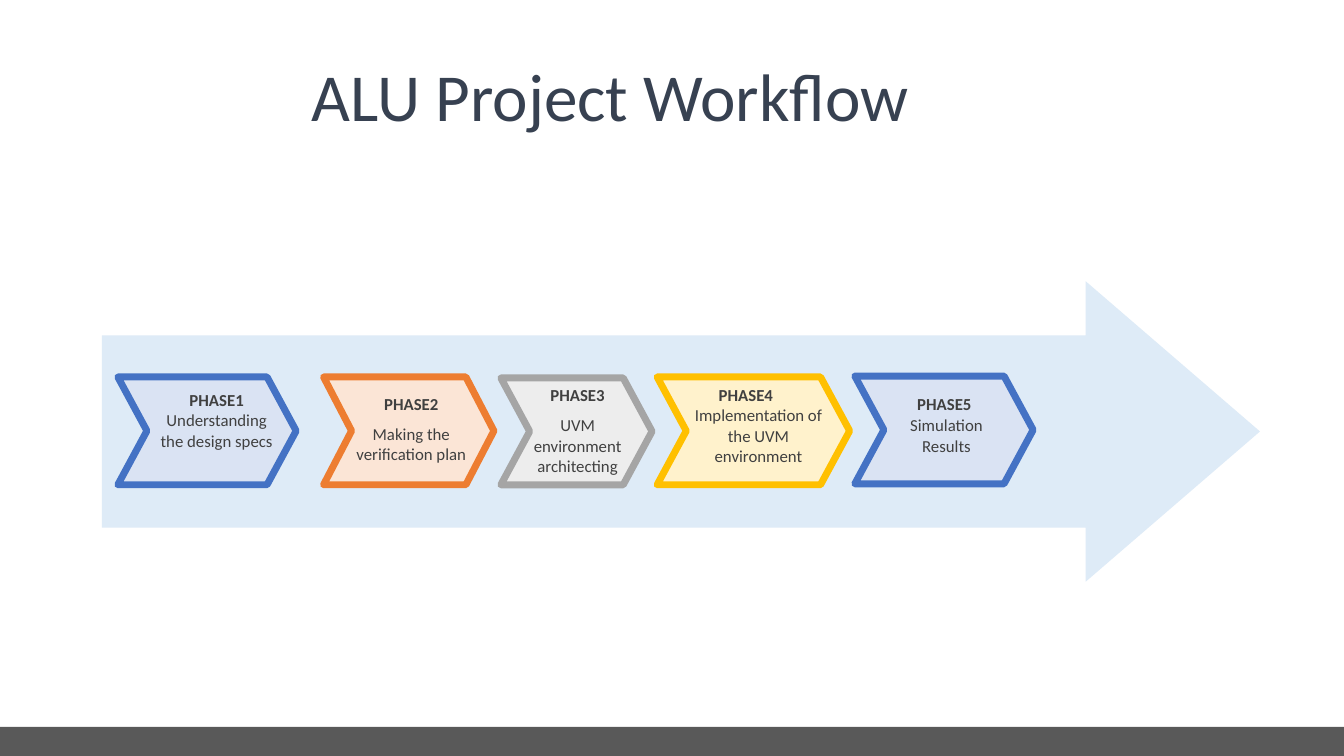
"""Build the ALU project workflow slide."""
import pptx
import pptx.dml.color
import pptx.enum.shapes
import pptx.enum.text
import pptx.util

Pt = pptx.util.Pt
SHAPES = pptx.enum.shapes.MSO_SHAPE
ANCHOR = pptx.enum.text.MSO_ANCHOR
AUTO_SIZE = pptx.enum.text.MSO_AUTO_SIZE
CENTER = pptx.enum.text.PP_ALIGN.CENTER

COLORS = {
    "title": "374151", "text": "404040", "footer": "595959", "arrow": "DEEBF7",
    "blue": "4472C4", "pale blue": "DAE3F3",
    "orange": "ED7D31", "pale orange": "FBE5D6",
    "gray": "A5A5A5", "pale gray": "EDEDED",
    "gold": "FFC000", "pale gold": "FFF2CC",
}

PHASES = [
    {"color": "blue", "chevron": (84.2, 269.3, 127.4, 77), "point": 0.27,
     "head": (104.4, 275), "body": (104.4, 289.4, 100.8, 51.1),
     "text": "Understanding the design specs"},
    {"color": "orange", "chevron": (231.1, 269.3, 121.7, 77), "point": 0.26,
     "head": (243.4, 277.9), "body": (243.4, 298.8, 100.8, 36.3),
     "text": "Making the verification plan"},
    {"color": "gray", "chevron": (357.8, 270, 108, 76.3), "point": 0.27,
     "head": (362.2, 271.4), "body": (362.2, 293, 100.8, 51.1),
     "text": "UVM environment architecting"},
    {"color": "gold", "chevron": (469.4, 269.3, 137.5, 77), "point": 0.27,
     "head": (482.4, 271.4), "body": (486.7, 285.8, 110.2, 51.1),
     "text": "Implementation of the UVM environment"},
    {"color": "blue", "chevron": (610.6, 268.6, 127.4, 77), "point": 0.27,
     "head": (624.2, 277.9), "body": (625.7, 293, 100.8, 36.3),
     "text": "Simulation Results"},
]
HEAD_SIZE = (100.8, 21.8)


class WorkflowPage:
    """Hold the text style and the current slide."""

    font = "Calibri"

    def __init__(self, deck):
        """Add a title-only slide to the deck."""
        self.page = deck.slides.add_slide(deck.slide_layouts[5])

    def color(self, name):
        """Return the named colour."""
        return pptx.dml.color.RGBColor.from_string(COLORS[name])

    def fill_text(self, frame, text, size, color, bold=False):
        """Fill a text frame with one centred paragraph."""
        frame.text = text
        frame.word_wrap = True
        para = frame.paragraphs[0]
        para.alignment = CENTER
        font = para.runs[0].font
        font.name, font.size, font.bold = self.font, Pt(size), bold
        font.color.rgb = self.color(color)

    def title(self, text, frame):
        """Place and format the title placeholder."""
        box = self.page.shapes.title
        box.left, box.top, box.width, box.height = map(Pt, frame)
        self.fill_text(box.text_frame, text, 48, "title")
        box.text_frame.vertical_anchor = ANCHOR.MIDDLE
        box.text_frame.auto_size = AUTO_SIZE.NONE
        box.text_frame.paragraphs[0].line_spacing = 0.9

    def shape(self, kind, frame, fill, line=None, adjustments=()):
        """Add a filled preset shape with an optional outline."""
        box = self.page.shapes.add_shape(kind, *map(Pt, frame))
        box.shadow.inherit = False
        for index, value in enumerate(adjustments):
            box.adjustments[index] = value
        box.fill.solid()
        box.fill.fore_color.rgb = self.color(fill)
        if line:
            box.line.color.rgb = self.color(line)
            box.line.width = Pt(5)
        else:
            box.line.fill.background()

    def label(self, group, frame, text, bold=False):
        """Add a text box to a group."""
        box = group.shapes.add_textbox(*map(Pt, frame))
        self.fill_text(box.text_frame, text, 12, "text", bold)
        box.text_frame.auto_size = AUTO_SIZE.SHAPE_TO_FIT_TEXT

    def phase(self, number, phase):
        """Add one chevron with its grouped heading and description."""
        color = phase["color"]
        self.shape(SHAPES.CHEVRON, phase["chevron"], f"pale {color}", color,
                   [phase["point"]])
        group = self.page.shapes.add_group_shape()
        self.label(group, phase["head"] + HEAD_SIZE, f"PHASE{number}", bold=True)
        self.label(group, phase["body"], phase["text"])


def main():
    """Build and save the deck."""
    deck = pptx.Presentation()
    deck.slide_width, deck.slide_height = Pt(960), Pt(540)
    workflow = WorkflowPage(deck)
    workflow.shape(SHAPES.RECTANGLE, (0, 519.2, 960, 20.8), "footer")
    workflow.title("ALU Project Workflow", (-44, 41, 960, 61.2))
    workflow.shape(SHAPES.RIGHT_ARROW, (72.7, 200.9, 827.3, 214.6), "arrow",
                   adjustments=[0.64, 0.58])
    for number, phase in enumerate(PHASES, start=1):
        workflow.phase(number, phase)
    deck.save("out.pptx")


if __name__ == "__main__":
    main()
